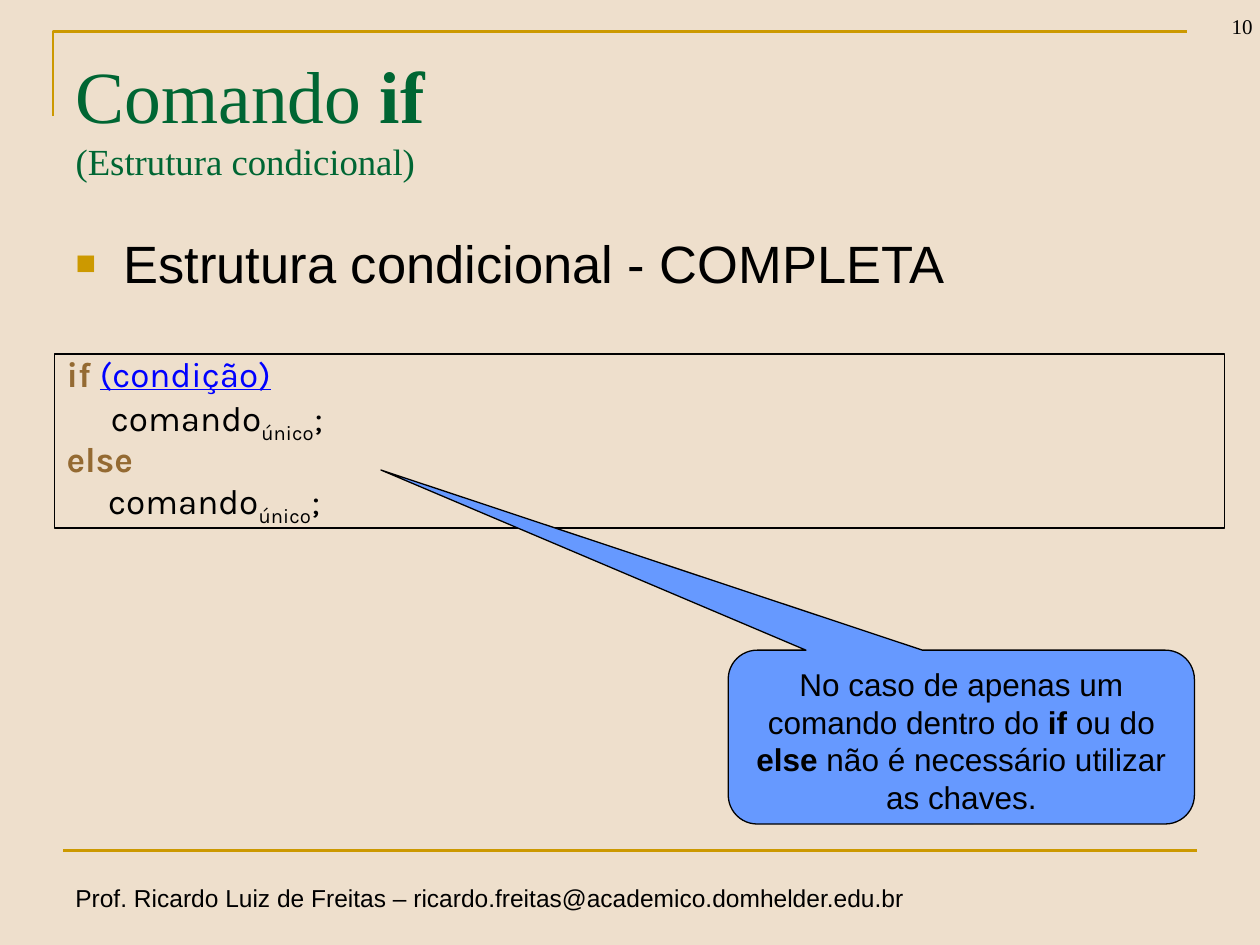
from copy import deepcopy

from lxml import etree
from pptx import Presentation
from pptx.dml.color import RGBColor
from pptx.enum.shapes import MSO_CONNECTOR, MSO_SHAPE
from pptx.enum.text import MSO_ANCHOR, MSO_AUTO_SIZE, PP_ALIGN
from pptx.oxml.ns import qn
from pptx.util import Inches, Pt

LEFT, CENTER, RIGHT = PP_ALIGN.LEFT, PP_ALIGN.CENTER, PP_ALIGN.RIGHT
TOP, MIDDLE, BOTTOM = MSO_ANCHOR.TOP, MSO_ANCHOR.MIDDLE, MSO_ANCHOR.BOTTOM

COLORS = {
    "background": "EEDFCC", "gold": "CC9900", "green": "006633", "black": "000000",
    "keyword": "946A32", "condition": "0000FF", "callout": "6699FF",
}
SERIF, SANS, CODE = "Times New Roman", "Arial", "Karla"

# A run is (text, format changes); a paragraph is a list of runs.
BOLD = {"bold": True}
KEYWORD = {"bold": True, "color": "keyword"}
CONDITION = {"underline": True, "color": "condition"}
SUBSCRIPT = {"baseline": -25000}
TITLE = [("Comando ", {}), ("if", BOLD)]
SUBTITLE = [("(Estrutura condicional)", {})]
TOPIC = [("Estrutura condicional - COMPLETA", {})]
COMMAND = [("     comando", {}), ("único", SUBSCRIPT), (";", {})]
CODE_LINES = [
    [("if ", KEYWORD), ("(condição)", CONDITION)],
    [("     ", BOLD), ("comando", {})] + COMMAND[1:],
    [("else", KEYWORD)],
    COMMAND,
]
CALLOUT = [
    ("No caso de apenas um comando dentro do ", {}), ("if", BOLD), (" ou do ", {}),
    ("else", BOLD), (" não é necessário utilizar as chaves.", {}),
]
FOOTER = [("Prof. Ricardo Luiz de Freitas – ricardo.freitas@academico.domhelder.edu.br", {})]
PAGE_NUMBER = [("10", {})]

MARGIN, CONTENT_WIDTH = 0.5, 9


def rgb(name):
    return RGBColor.from_string(COLORS[name])


def add_runs(paragraph, runs, font, size, color="black"):
    for text, changes in runs:
        run = paragraph.add_run()
        run.text = text
        run.font.name, run.font.size = font, Pt(size)
        run.font.bold = changes.get("bold", False)
        run.font.underline = changes.get("underline", False)
        run.font.color.rgb = rgb(changes.get("color", color))
        if "baseline" in changes:
            run.font._element.set("baseline", str(changes["baseline"]))


def prepare_frame(shape, anchor=TOP, align=LEFT, wrap=True):
    """Set up the text frame and return its first paragraph."""
    frame = shape.text_frame
    frame.word_wrap, frame.vertical_anchor = wrap, anchor
    frame.auto_size = MSO_AUTO_SIZE.NONE
    frame.paragraphs[0].alignment = align
    return frame.paragraphs[0]


def place(shape, *box):
    shape.left, shape.top, shape.width, shape.height = map(Inches, box)


def set_line(shape, color, width):
    shape.line.color.rgb, shape.line.width = rgb(color), Pt(width)


def add_box(slide, kind, box, fill=None):
    shape = slide.shapes.add_shape(kind, *map(Inches, box))
    shape.shadow.inherit = False
    if fill:
        shape.fill.solid()
        shape.fill.fore_color.rgb = rgb(fill)
    else:
        shape.fill.background()
    set_line(shape, "black", 0.75)
    return shape


def add_label(slide, box, runs, font, size, **frame_options):
    label = slide.shapes.add_textbox(*map(Inches, box))
    add_runs(prepare_frame(label, **frame_options), runs, font, size)


def add_square_bullet(paragraph, color, percent, indent):
    properties = paragraph._p.get_or_add_pPr()
    properties.set("marL", str(Inches(indent)))
    properties.set("indent", str(-Inches(indent)))
    bullet_color = etree.SubElement(properties, qn("a:buClr"))
    etree.SubElement(bullet_color, qn("a:srgbClr"), val=COLORS[color])
    etree.SubElement(properties, qn("a:buSzPct"), val=str(percent * 1000))
    etree.SubElement(properties, qn("a:buFont"), typeface=SANS)
    etree.SubElement(properties, qn("a:buChar"), char="■")


def add_frame_lines(slide):
    builder = slide.shapes.build_freeform(Inches(0.42), Inches(0.92))
    corner = [(Inches(0.42), Inches(0.25)), (Inches(9.42), Inches(0.25))]
    builder.add_line_segments(corner, close=False)
    bracket = builder.convert_to_shape()
    bracket.shadow.inherit = False
    bracket.fill.background()
    right = MARGIN + CONTENT_WIDTH
    rule = slide.shapes.add_connector(
        MSO_CONNECTOR.STRAIGHT, Inches(MARGIN), Inches(6.75), Inches(right), Inches(6.75))
    etree.SubElement(rule._element.spPr, qn("a:effectLst"))
    for shape in (bracket, rule):
        set_line(shape, "gold", 1.5)


def fill_title(title):
    place(title, MARGIN, 0.3, CONTENT_WIDTH, 1.25)
    paragraph = prepare_frame(title, MIDDLE)
    add_runs(paragraph, TITLE, SERIF, 42, "green")
    paragraph.add_line_break()
    # The break takes the title's size, so the first line keeps its height.
    paragraph._p[-1].append(deepcopy(paragraph.runs[-1].font._element))
    add_runs(paragraph, SUBTITLE, SERIF, 21, "green")


def fill_body(body):
    place(body, MARGIN, 1.75, CONTENT_WIDTH, 0.66)
    paragraph = prepare_frame(body, MIDDLE)
    paragraph.space_before = Pt(0)
    add_square_bullet(paragraph, "gold", 65, 0.38)
    add_runs(paragraph, TOPIC, SANS, 30)


def add_code(slide):
    box = add_box(slide, MSO_SHAPE.RECTANGLE, (0.43, 2.81, 9.29, 1.38))
    paragraph = prepare_frame(box)
    for index, runs in enumerate(CODE_LINES):
        if index:
            paragraph = box.text_frame.add_paragraph()
            paragraph.alignment = LEFT
        if index < len(CODE_LINES) - 1:
            paragraph.line_spacing = 0.8
            paragraph.space_before = Pt(4 if index else 0)
        add_runs(paragraph, runs, CODE, 20)


def add_callout(slide):
    callout = add_box(slide, MSO_SHAPE.ROUNDED_RECTANGULAR_CALLOUT,
                      (5.78, 5.16, 3.7, 1.38), "callout")
    for index, value in enumerate((-1.245, -1.536, 0.167)):
        callout.adjustments[index] = value
    add_runs(prepare_frame(callout, align=CENTER), CALLOUT, SANS, 18)


def main():
    presentation = Presentation()
    presentation.slide_width, presentation.slide_height = Inches(10), Inches(7.5)
    slide = presentation.slides.add_slide(presentation.slide_layouts[1])
    slide.background.fill.solid()
    slide.background.fill.fore_color.rgb = rgb("background")

    add_label(slide, (MARGIN, 6.96, 6.86, 0.34), FOOTER, SANS, 14, wrap=False)
    add_frame_lines(slide)
    add_label(slide, (9.29, -0.14, 0.75, 0.5), PAGE_NUMBER, SERIF, 12,
              anchor=BOTTOM, align=RIGHT)
    fill_title(slide.shapes.title)
    fill_body(slide.placeholders[1])
    add_code(slide)
    add_callout(slide)
    presentation.save("out.pptx")


if __name__ == "__main__":
    main()
